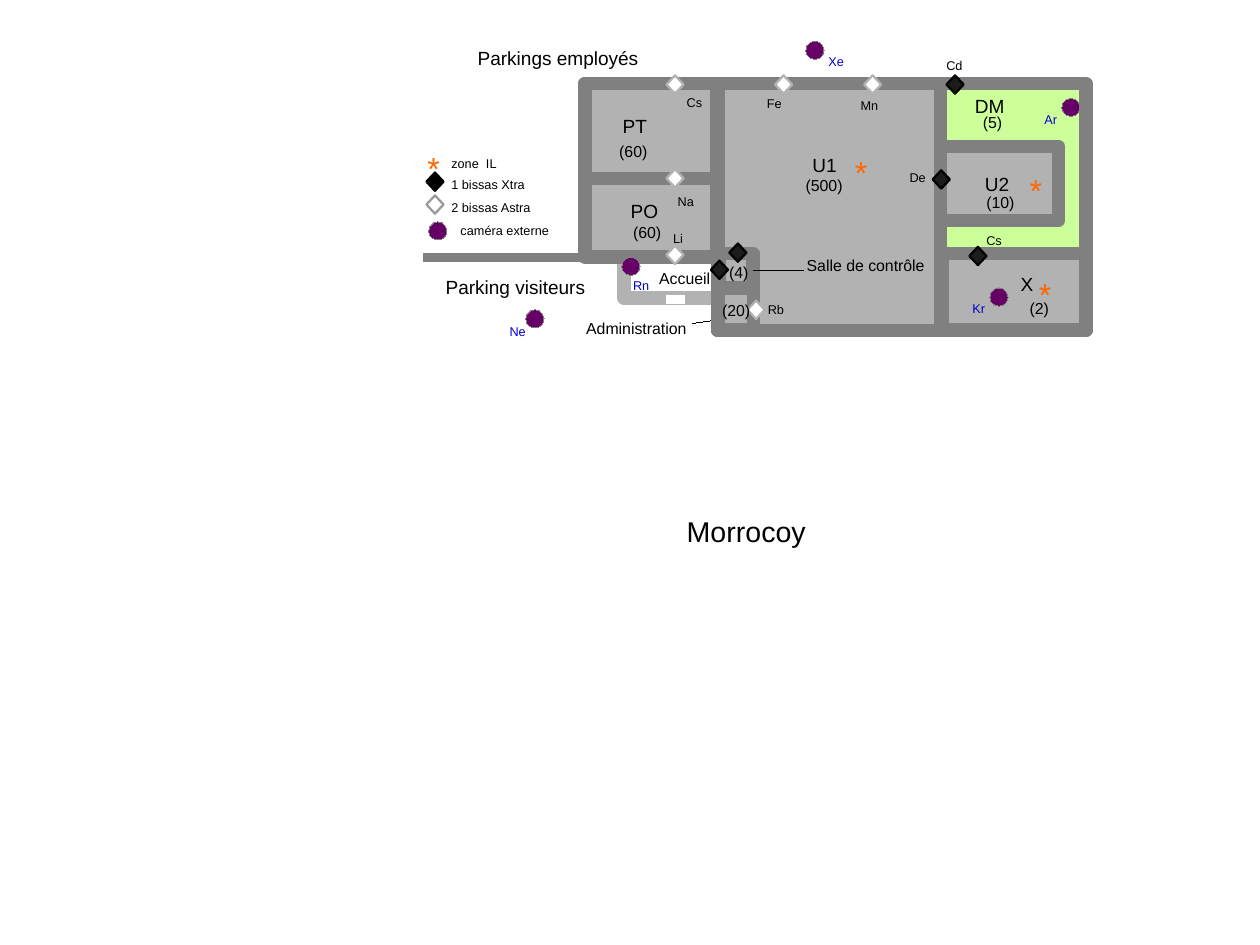
from dataclasses import dataclass

from lxml import etree
from pptx import Presentation
from pptx.dml.color import RGBColor
from pptx.enum.shapes import MSO_CONNECTOR, MSO_SHAPE
from pptx.enum.text import MSO_AUTO_SIZE, PP_ALIGN
from pptx.oxml.ns import qn
from pptx.shapes.base import BaseShape
from pptx.shapes.shapetree import SlideShapes
from pptx.util import Pt

RECT = MSO_SHAPE.RECTANGLE
OVAL = MSO_SHAPE.OVAL
DIAMOND = MSO_SHAPE.DIAMOND
STRAIGHT = MSO_CONNECTOR.STRAIGHT
GROW = MSO_AUTO_SIZE.SHAPE_TO_FIT_TEXT
LEFT = PP_ALIGN.LEFT
CM = 72 / 2.54  # points in a centimetre
SLACK = 1  # spare width that keeps each label on one line


@dataclass(frozen=True)
class Theme:
    font: str = "Arial"
    black: str = "000000"
    white: str = "FFFFFF"
    wall: str = "808080"
    floor: str = "B2B2B2"
    yard: str = "CCFF99"
    camera: str = "660066"
    dark: str = "1C1C1C"
    key: str = "999999"
    blue: str = "0000CC"
    star: str = "FF6600"
    small: float = 8
    body: float = 10
    room: float = 12
    title: float = 18
    sign: float = 20
    thick: float = 8.5
    fence: float = 5.67
    edge: float = 1.42
    hair: float = 0.01


T = Theme()


@dataclass(frozen=True)
class Room:
    x: float
    y: float
    w: float
    h: float
    fill: str | None = T.floor
    line: str = T.wall


@dataclass(frozen=True)
class Line:
    x1: float
    y1: float
    x2: float
    y2: float
    color: str = T.black
    width: float = T.hair


@dataclass(frozen=True)
class Mark:
    form: MSO_SHAPE
    w: float
    h: float
    fill: str
    line: str
    width: float
    spots: tuple[tuple[float, float], ...]


@dataclass(frozen=True)
class Label:
    text: str
    x: float
    y: float
    w: float


@dataclass(frozen=True)
class Group:
    """Labels that share a type size, a colour and a box height."""
    size: float
    color: str
    h: float
    items: tuple[Label, ...]
    wrap: bool = False


FENCES = (
    Line(368.6, 162, 266.4, 162, T.wall, T.fence),
    Line(436.3, 203.8, 470.2, 198.7),
)
ROOMS = (
    Room(452.2, 52.6, 231.8, 155.5, T.yard),
    Room(583.9, 92.2, 82.8, 46.8),
    Room(393.1, 162, 59, 25.9, None, T.floor),
    Room(368.6, 52.6, 82.8, 109.4),
    Room(452.2, 52.6, 140.4, 155.5),
    Room(368.6, 52.6, 82.8, 59.8),
    Room(452.9, 159.8, 21.6, 21.6),
    Room(593.3, 159.8, 90.7, 48.2),
    Room(452.2, 181.4, 22.3, 26.6),
)
DETAILS = (
    Line(419.8, 188.6, 431.3, 188.6, T.white, T.fence),
    Line(474.5, 170.6, 506.2, 170.6),
)
MARKS = (
    Mark(OVAL, 11.5, 11.5, T.camera, T.wall, T.hair, (
        (331.2, 195.1), (507.6, 25.9), (668.9, 61.9),
        (623.5, 181.4), (391.7, 162), (270, 139.7))),
    Mark(DIAMOND, 10.8, 11.5, T.white, T.floor, T.edge, (
        (419.8, 154.8), (419.8, 106.6), (470.9, 189.4),
        (419.8, 47.5), (488.2, 47.5), (544.3, 47.5))),
    Mark(DIAMOND, 10.8, 11.5, T.dark, T.black, T.edge, (
        (459.4, 153.4), (596.2, 47.5), (610.6, 155.5),
        (447.8, 164.2), (587.5, 107.3))),
    Mark(DIAMOND, 10.8, 11.5, T.black, T.black, T.edge, ((268.6, 108.7),)),
    Mark(DIAMOND, 10.8, 11.5, T.white, T.key, T.edge, ((268.6, 123.1),)),
)
GROUPS = (
    Group(T.small, T.blue, 15.8, (
        Label("Ne", 313.9, 200.2, 24.5), Label("Xe", 514.8, 30.2, 23.8),
        Label("Ar", 650.9, 67, 22.3), Label("Kr", 605.5, 185.8, 22.3),
        Label("Rn", 391.7, 171.4, 24.5))),
    Group(T.small, T.black, 15.8, (
        Label("zone  IL", 277.2, 94.3, 43.2),
        Label("1 bissas Xtra", 277.2, 108, 61.2),
        Label("2 bissas Astra", 277.2, 122.4, 64.8),
        Label("caméra externe", 283, 136.8, 69.8),
        Label("Li", 416.9, 141.8, 20.2), Label("Fe", 475.9, 56.9, 23.8),
        Label("Na", 419.8, 118.8, 24.5), Label("Rb", 476.6, 186.5, 24.5),
        Label("Cs", 425.5, 56.2, 23.8), Label("Mn", 535, 58.3, 25.2),
        Label("De", 565.9, 103.7, 24.5), Label("Cd", 589, 33.1, 24.5),
        Label("Cs", 614.2, 143.3, 23.8))),
    Group(T.body, T.black, 18, (
        Label("Accueil", 408.2, 165.6, 46.1),
        Label("Salle de contrôle", 501.1, 157.7, 90),
        Label("Administration", 362.2, 197.3, 82.1),
        Label("(60)", 383, 85.7, 31.7), Label("(60)", 391.7, 136.8, 31.7),
        Label("(2)", 641.5, 184.3, 26.6), Label("(5)", 612, 67.7, 26.6),
        Label("(500)", 500.4, 107.3, 37.4), Label("(10)", 614.2, 118.1, 31.7),
        Label("(20)", 447.8, 185.8, 31.7), Label("(4)", 452.2, 162, 26.6))),
    Group(T.room, T.black, 20.9, (
        Label("Parkings employés", 293.8, 25.9, 115.9),
        Label("Parking visiteurs", 273.6, 169.9, 102.2),
        Label("PT", 385.2, 68.4, 29.5), Label("PO", 390.2, 122.4, 31.7),
        Label("U1", 504.7, 92.9, 29.5), Label("U2", 613.4, 105.1, 29.5),
        Label("DM", 607, 56.2, 33.1), Label("X", 635.8, 167.8, 22.3))),
    Group(T.sign, T.star, 29.5, (
        Label("*", 641.5, 103.7, 22.3), Label("*", 531.4, 92.9, 22.3),
        Label("*", 647.3, 169.2, 22.3), Label("*", 262.1, 90, 22.3))),
    Group(T.title, T.black, 47.5, (Label("Morrocoy", 425.5, 320.4, 120),), True),
)


def rgb(code: str) -> RGBColor:
    return RGBColor.from_string(code)


def paint(shape: BaseShape, fill: str | None, line: str, width: float) -> None:
    shape.shadow.inherit = False
    if fill is None:
        shape.fill.background()
    else:
        shape.fill.solid()
        shape.fill.fore_color.rgb = rgb(fill)
    shape.line.color.rgb = rgb(line)
    shape.line.width = Pt(width)


def draw_room(tree: SlideShapes, room: Room) -> None:
    shape = tree.add_shape(RECT, Pt(room.x), Pt(room.y), Pt(room.w), Pt(room.h))
    paint(shape, room.fill, room.line, T.thick)


def draw_mark(tree: SlideShapes, mark: Mark) -> None:
    for x, y in mark.spots:
        shape = tree.add_shape(mark.form, Pt(x), Pt(y), Pt(mark.w), Pt(mark.h))
        paint(shape, mark.fill, mark.line, mark.width)


def draw_line(tree: SlideShapes, line: Line) -> None:
    link = tree.add_connector(
        STRAIGHT, Pt(line.x1), Pt(line.y1), Pt(line.x2), Pt(line.y2))
    link.line.color.rgb = rgb(line.color)
    link.line.width = Pt(line.width)
    etree.SubElement(link._element.spPr, qn("a:effectLst"))


def draw_group(tree: SlideShapes, group: Group) -> None:
    for label in group.items:
        box = tree.add_textbox(
            Pt(label.x), Pt(label.y), Pt(label.w + SLACK), Pt(group.h))
        frame = box.text_frame
        frame.text = label.text
        frame.word_wrap = group.wrap
        frame.auto_size = GROW
        para = frame.paragraphs[0]
        para.alignment = LEFT
        font = para.runs[0].font
        font.name = T.font
        font.size = Pt(group.size)
        font.color.rgb = rgb(group.color)


def main() -> None:
    deck = Presentation()
    deck.slide_width, deck.slide_height = Pt(28 * CM), Pt(21 * CM)
    tree = deck.slides.add_slide(deck.slide_layouts[6]).shapes
    for items, draw in ((FENCES, draw_line), (ROOMS, draw_room),
                        (DETAILS, draw_line), (MARKS, draw_mark),
                        (GROUPS, draw_group)):
        for item in items:
            draw(tree, item)
    deck.save("out.pptx")


if __name__ == "__main__":
    main()
